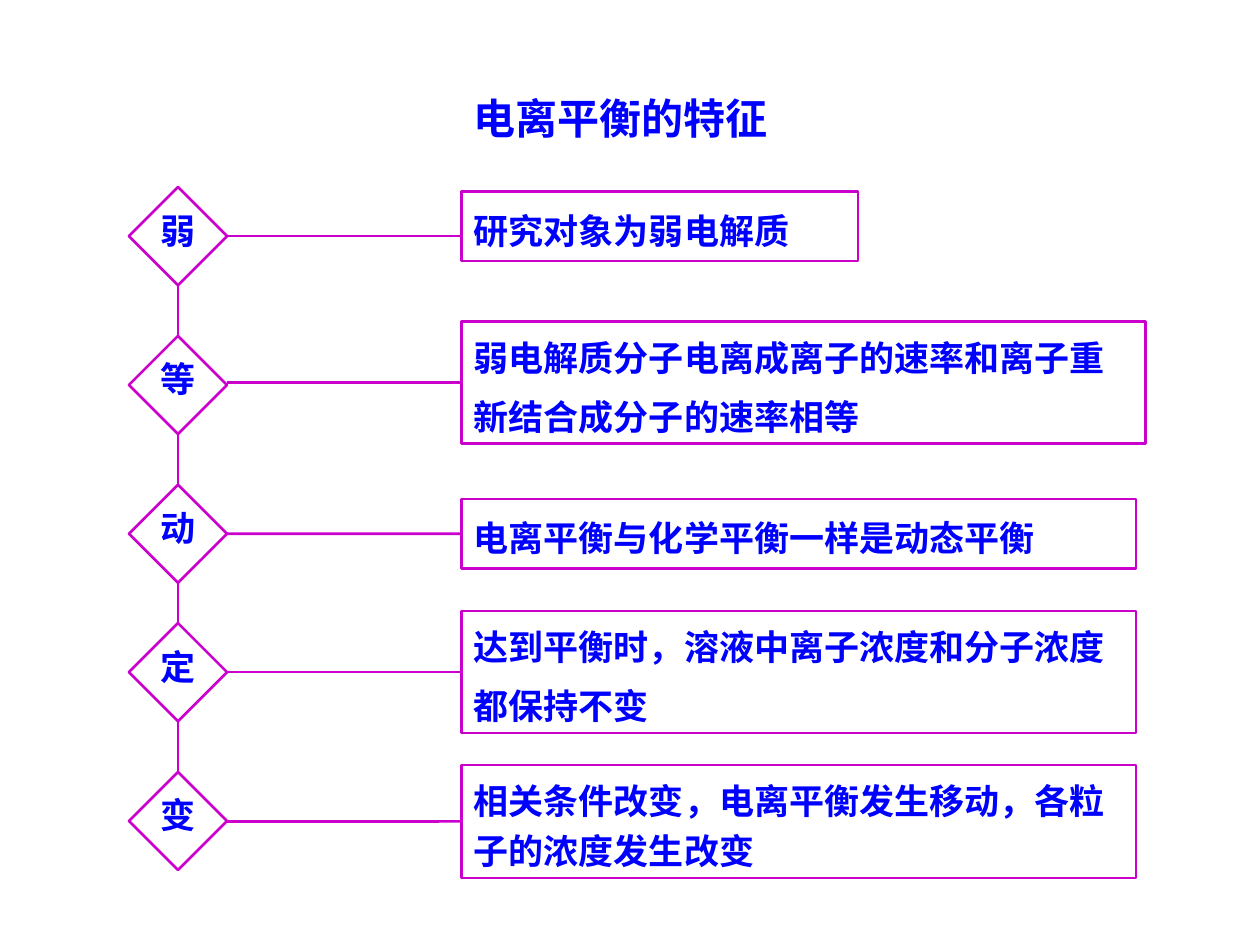
from lxml import etree
from pptx import Presentation
from pptx.dml.color import RGBColor
from pptx.enum.shapes import MSO_CONNECTOR, MSO_SHAPE
from pptx.enum.text import MSO_ANCHOR, MSO_AUTO_SIZE, PP_ALIGN
from pptx.oxml.ns import qn
from pptx.util import Cm, Pt

RECTANGLE = MSO_SHAPE.RECTANGLE
STRAIGHT = MSO_CONNECTOR.STRAIGHT
MIDDLE = MSO_ANCHOR.MIDDLE
FIT_SHAPE = MSO_AUTO_SIZE.SHAPE_TO_FIT_TEXT
CENTER, LEFT = PP_ALIGN.CENTER, PP_ALIGN.LEFT

BLUE, PURPLE = "0000FF", "CC00CC"
LEFT_SIDE = 1

# Lengths in centimetres
AXIS_X = 3.59
SQUARE = 1.4
HALF_DIAGONAL = 0.99
BOX_LEFT = 9.3

# Key character, diamond centre, box top, width, height, paragraphs
FEATURES = [
    ("弱", 4.76, 3.86, 8.0, 1.4, ["研究对象为弱电解质"]),
    ("等", 7.76, 6.48, 13.8, 2.46,
     ["弱电解质分子电离成离子的速率和离子重", "新结合成分子的速率相等"]),
    ("动", 10.76, 10.06, 13.6, 1.4, ["电离平衡与化学平衡一样是动态平衡"]),
    ("定", 13.55, 12.32, 13.6, 2.46,
     ["达到平衡时，溶液中离子浓度和分子浓度", "都保持不变"]),
    ("变", 16.55, 15.42, 13.6, 2.28,
     ["相关条件改变，电离平衡发生移动，各粒子的浓度发生改变"]),
]


def color(hex_text):
    return RGBColor.from_string(hex_text)


def write(frame, lines, size=20, font="Arial", align=LEFT, spacing=1.0, after=0):
    for index, line in enumerate(lines):
        para = frame.paragraphs[0] if index == 0 else frame.add_paragraph()
        para.alignment = align
        para.line_spacing = spacing
        para.space_after = Pt(after)
        span = para.add_run()
        span.text = line
        span.font.size = Pt(size)
        span.font.name = font
        span.font.bold = True
        span.font.color.rgb = color(BLUE)


def add_outline(shapes, left, top, width, height):
    box = shapes.add_shape(RECTANGLE, Cm(left), Cm(top), Cm(width), Cm(height))
    box.shadow.inherit = False
    box.fill.background()
    box.line.color.rgb = color(PURPLE)
    box.line.width = Pt(1.5)
    return box


def add_line(page, x1, y1, x2, y2):
    line = page.shapes.add_connector(STRAIGHT, Cm(x1), Cm(y1), Cm(x2), Cm(y2))
    line.line.color.rgb = color(PURPLE)
    line.line.width = Pt(1.5)
    etree.SubElement(line._element.spPr, qn("a:effectLst"))
    return line


def add_title(page, left, top, width, height):
    box = page.shapes.add_textbox(Cm(left), Cm(top), Cm(width), Cm(height))
    box.text_frame.word_wrap = True
    box.text_frame.auto_size = FIT_SHAPE
    write(box.text_frame, ["电离平衡的特征"], 24, "Noto Sans CJK SC", CENTER, 1.5)


def add_diamond(page, center_x, center_y, key):
    """Group a square turned on its corner with its key character."""
    group = page.shapes.add_group_shape()
    square = add_outline(group.shapes, center_x - SQUARE / 2,
                         center_y - SQUARE / 2, SQUARE, SQUARE)
    square.rotation = 315
    label = group.shapes.add_textbox(Cm(center_x - 0.61), Cm(center_y - 0.67),
                                     Cm(1.22), Cm(1.11))
    label.text_frame.word_wrap = False
    label.text_frame.auto_size = FIT_SHAPE
    write(label.text_frame, [key], align=CENTER)


def add_explanation(page, left, top, width, height, lines):
    box = add_outline(page.shapes, left, top, width, height)
    frame = box.text_frame
    frame.vertical_anchor = MIDDLE
    frame.word_wrap = height > 2
    write(frame, lines, spacing=1.2, after=5)
    return box


def add_feature(page, key, center_y, top, width, height, lines):
    add_diamond(page, AXIS_X, center_y, key)
    box = add_explanation(page, BOX_LEFT, top, width, height, lines)
    middle = top + height / 2
    at_middle = abs(middle - center_y) < 0.1
    line_y = middle if at_middle else center_y
    line = add_line(page, AXIS_X + HALF_DIAGONAL, line_y, BOX_LEFT, line_y)
    if at_middle:
        line.end_connect(box, LEFT_SIDE)


def add_chain(page, centers):
    for upper, lower in zip(centers, centers[1:]):
        add_line(page, AXIS_X, upper + HALF_DIAGONAL, AXIS_X, lower - HALF_DIAGONAL)


def main():
    deck = Presentation()
    deck.slide_width, deck.slide_height = Cm(25.4), Cm(19.05)
    page = deck.slides.add_slide(deck.slide_layouts[6])
    add_title(page, 3.5, 1.24, 18, 1.78)
    for feature in FEATURES:
        add_feature(page, *feature)
    add_chain(page, [feature[1] for feature in FEATURES])
    deck.save("out.pptx")


if __name__ == "__main__":
    main()
